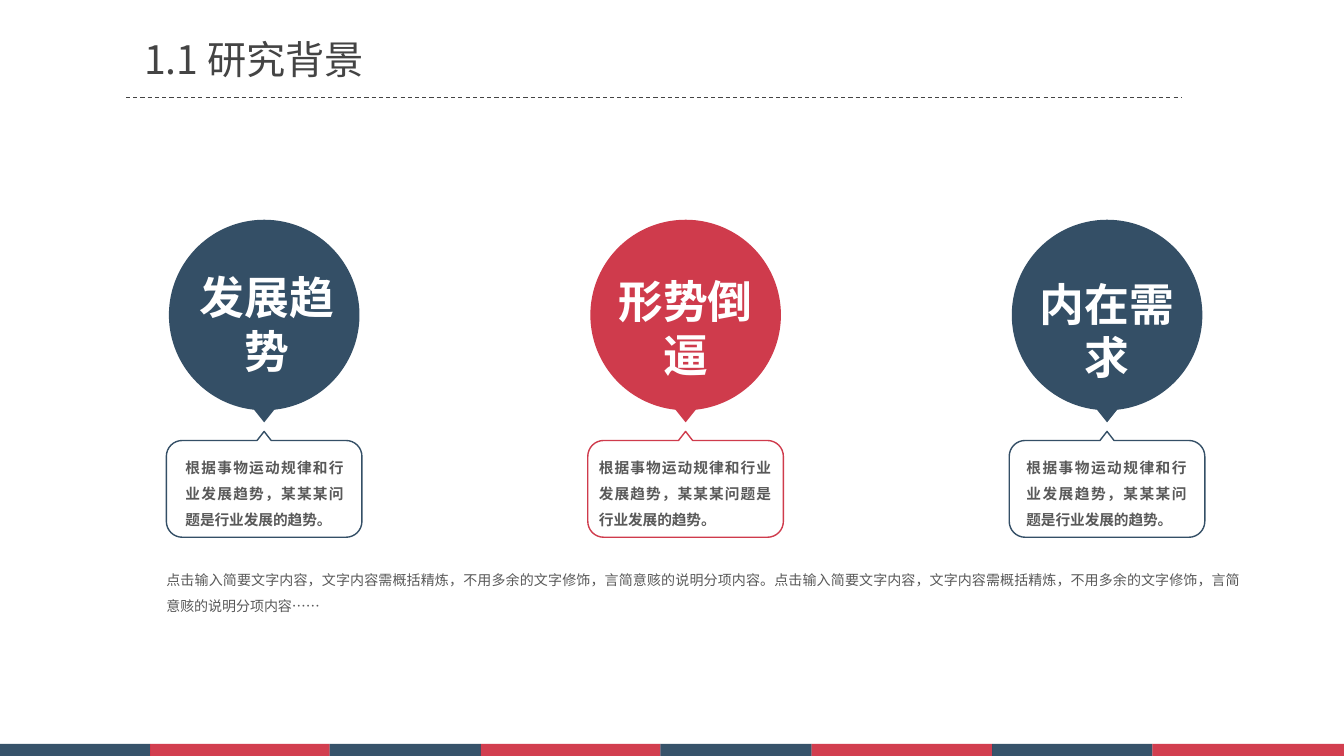
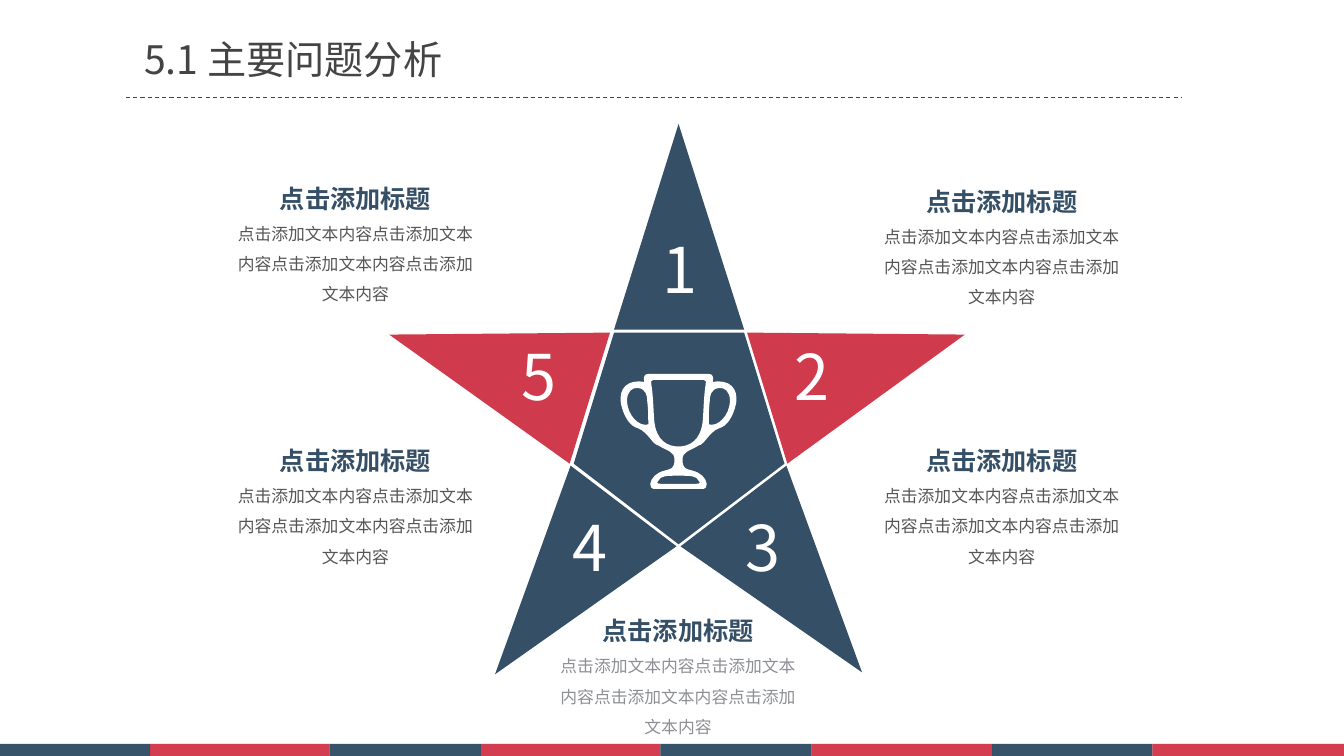
from lxml import etree
from pptx import Presentation
from pptx.dml.color import RGBColor
from pptx.enum.dml import MSO_LINE
from pptx.enum.shapes import MSO_CONNECTOR, MSO_SHAPE, PP_PLACEHOLDER
from pptx.enum.text import MSO_ANCHOR, MSO_AUTO_SIZE, PP_ALIGN
from pptx.oxml.ns import qn
from pptx.util import Inches, Pt

SLIDE_WIDTH, SLIDE_HEIGHT = 13.33, 7.5
FONT = "Noto Sans CJK SC"
NAVY = RGBColor(0x34, 0x4F, 0x66)
RED = RGBColor(0xCF, 0x3B, 0x4C)
BAND_NAVY = RGBColor(0x06, 0x28, 0x45)
BAND_RED = RGBColor(0xC7, 0x0E, 0x23)
WHITE = RGBColor(0xFF, 0xFF, 0xFF)
TITLE_GREY = RGBColor(0x44, 0x44, 0x44)
TEXT_GREY = RGBColor(0x59, 0x59, 0x59)
CAPTION_GREY = RGBColor(0x55, 0x55, 0x55)
PALE_GREY = RGBColor(0x8D, 0x8F, 0x94)

SINGLE, OPEN = 1.2, 1.8
BAND_EDGES = [0, 1.49, 3.27, 4.77, 6.55, 8.05, 9.84, 11.43, SLIDE_WIDTH]
BAND_HEIGHT = 0.12

PIN_LEFT, PIN_PITCH = 1.65, 4.18
PIN_TEXT = "根据事物运动规律和行业发展趋势，某某某问题是行业发展的趋势。"
PINS = [
    ("发展趋势", NAVY, 0.03, 2.68, 0.19, 1.57),
    ("形势倒逼", RED, 0, 2.72, 0.11, 1.71),
    ("内在需求", NAVY, 0, 2.74, 0.17, 1.59),
]
SUMMARY = (
    "点击输入简要文字内容，文字内容需概括精炼，不用多余的文字修饰，言简意赅的说明分项内容。"
    "点击输入简要文字内容，文字内容需概括精炼，不用多余的文字修饰，言简意赅的说明分项内容……"
)

STAR_CORE = [(7.38, 3.3), (6.09, 3.3), (5.69, 4.6), (6.73, 5.4), (7.78, 4.6)]
STAR_ARMS = [
    ("1", NAVY, [(6.09, 3.27), (6.73, 1.23), (7.38, 3.27)], (6.74, 2.68)),
    ("2", RED, [(7.41, 3.3), (9.57, 3.32), (7.81, 4.6)], (8.05, 3.74)),
    ("3", NAVY, [(7.8, 4.62), (8.55, 6.67), (6.75, 5.42)], (7.57, 5.43)),
    ("4", NAVY, [(6.71, 5.42), (4.91, 6.69), (5.66, 4.62)], (5.85, 5.44)),
    ("5", RED, [(5.65, 4.6), (3.86, 3.32), (6.05, 3.3)], (5.35, 3.74)),
]
CUP_HALF = [
    (0.3, 0), (0.34, 0), (0.35, 0.03), (0.34, 0.08),
    (0.5, 0.05), (0.6, 0.14), (0.57, 0.3), (0.54, 0.43), (0.48, 0.52), (0.4, 0.54),
    (0.3, 0.58), (0.26, 0.7), (0.2, 0.71), (0.1, 0.77), (0.04, 0.77), (0.04, 0.85),
    (0.04, 0.95), (0.08, 0.94), (0.14, 0.96), (0.22, 0.98), (0.27, 1.03), (0.28, 1.09),
    (0.28, 1.12), (0.27, 1.14), (0.25, 1.14),
]
BOWL_HALF = [
    (0.25, 0.06), (0.27, 0.06), (0.28, 0.08), (0.27, 0.1),
    (0.25, 0.22), (0.25, 0.35), (0.24, 0.47), (0.22, 0.66), (0.11, 0.72), (0, 0.72),
]
BASE_HALF = [
    (0, 1.01), (0.12, 1.01), (0.18, 1.01), (0.2, 1.06),
    (0.22, 1.08), (0.21, 1.09), (0.18, 1.09),
]
HANDLE = [
    (0.51, 0.26), (0.51, 0.18), (0.46, 0.13), (0.4, 0.14),
    (0.32, 0.15), (0.31, 0.22), (0.31, 0.27), (0.3, 0.35), (0.3, 0.44), (0.3, 0.5),
    (0.38, 0.53), (0.51, 0.42), (0.51, 0.26),
]
CAPTION_TITLE = "点击添加标题"
CAPTION_TEXT = "点击添加文本内容" * 4
CAPTIONS = [
    (2.23, 1.62, CAPTION_GREY),
    (2.23, 4.22, CAPTION_GREY),
    (8.64, 1.65, CAPTION_GREY),
    (8.64, 4.22, CAPTION_GREY),
    (5.43, 5.91, PALE_GREY),
]


def write(paragraph, text, size, color, bold=False, align=PP_ALIGN.LEFT, spacing=SINGLE):
    paragraph.alignment = align
    paragraph.line_spacing = Pt(round(size * spacing, 1))
    paragraph.space_before = paragraph.space_after = Pt(0)
    run = paragraph.add_run()
    run.text = text
    font = run.font
    font.name, font.size, font.bold = FONT, Pt(size), bold
    font.color.rgb = color
    properties = run._r.get_or_add_rPr()
    etree.SubElement(properties, qn("a:ea")).set("typeface", FONT)


def set_margins(frame, left=0, top=0, right=0, bottom=0):
    frame.margin_left, frame.margin_top = Inches(left), Inches(top)
    frame.margin_right, frame.margin_bottom = Inches(right), Inches(bottom)


def add_text_box(slide, left, top, width, height, margin=0):
    box = slide.shapes.add_textbox(Inches(left), Inches(top), Inches(width), Inches(height))
    frame = box.text_frame
    frame.word_wrap = True
    set_margins(frame, margin * 2, margin, margin * 2, margin)
    return frame


def paint(shape, fill=None, line=None):
    shape.shadow.inherit = False
    if fill is None:
        shape.fill.background()
    else:
        shape.fill.solid()
        shape.fill.fore_color.rgb = fill
    if line is None:
        shape.line.fill.background()
    else:
        shape.line.color.rgb = line
        shape.line.width = Pt(1)
    return shape


def add_preset(slide, preset, left, top, width, height, fill):
    shape = slide.shapes.add_shape(
        preset, Inches(left), Inches(top), Inches(width), Inches(height))
    return paint(shape, fill)


def is_curve(step):
    return len(step) == 3


def add_outline(slide, contours, **style):
    builder = None
    for start, *steps in contours:
        start = [Inches(value) for value in start]
        if builder is None:
            builder = slide.shapes.build_freeform(*start)
        else:
            builder.move_to(*start)
        points = [point for step in steps for point in (step if is_curve(step) else [step])]
        builder.add_line_segments([(Inches(x), Inches(y)) for x, y in points], close=True)
    shape = builder.convert_to_shape()
    nodes = iter(list(shape.element.iter(qn("a:lnTo"))))
    for step in (step for contour in contours for step in contour[1:]):
        node = next(nodes)
        if is_curve(step):
            node.tag = qn("a:cubicBezTo")
            for extra in (next(nodes), next(nodes)):
                node.append(extra[0])
                extra.getparent().remove(extra)
    return paint(shape, **style)


def curves(chain):
    return [tuple(chain[index:index + 3]) for index in range(1, len(chain), 3)]


def mirror(chain):
    return [(-x, y) for x, y in reversed(chain)]


def add_frame(slide):
    shapes = []
    for index, (left, right) in enumerate(zip(BAND_EDGES, BAND_EDGES[1:])):
        band = add_preset(slide, MSO_SHAPE.RECTANGLE, left, SLIDE_HEIGHT - BAND_HEIGHT,
                          right - left, BAND_HEIGHT, (BAND_NAVY, BAND_RED)[index % 2])
        color = band.element.spPr.find(qn("a:solidFill")).find(qn("a:srgbClr"))
        etree.SubElement(color, qn("a:alpha")).set("val", "80000")
        shapes.append(band)
    rule = slide.shapes.add_connector(
        MSO_CONNECTOR.STRAIGHT, Inches(1.25), Inches(0.97), Inches(11.72), Inches(0.97))
    rule.line.color.rgb = TITLE_GREY
    rule.line.width = Pt(0.75)
    rule.line.dash_style = MSO_LINE.DASH
    etree.SubElement(rule.element.spPr, qn("a:effectLst"))
    return shapes + [rule]


def prepare_layout(presentation):
    layout = presentation.slide_layouts[5]
    for placeholder in list(layout.placeholders):
        if placeholder.placeholder_format.type != PP_PLACEHOLDER.TITLE:
            placeholder.element.getparent().remove(placeholder.element)
    return layout


def add_titled_slide(presentation, layout, text):
    slide = presentation.slides.add_slide(layout)
    title = slide.shapes.title
    title.left, title.top = Inches(1.43), Inches(0.35)
    title.width, title.height = Inches(3.99), Inches(0.47)
    frame = title.text_frame
    frame.auto_size = MSO_AUTO_SIZE.NONE
    frame.vertical_anchor = MSO_ANCHOR.TOP
    set_margins(frame)
    write(frame.paragraphs[0], text, 28, TITLE_GREY)
    return slide


def add_callout(slide, left, top, width, height, color):
    notch_height, notch_half, radius, pull = 0.09, 0.07, 0.16, 0.07
    right, bottom, middle = left + width, top + height, left + width / 2
    edge = top + notch_height
    contour = [(middle, top), (middle + notch_half, edge)]
    corners = [(right, edge, -1, 0, 0, 1), (right, bottom, 0, -1, -1, 0),
               (left, bottom, 1, 0, 0, -1), (left, edge, 0, 1, 1, 0)]
    for x, y, in_x, in_y, out_x, out_y in corners:
        contour.append((x + in_x * radius, y + in_y * radius))
        contour.append(((x + in_x * pull, y + in_y * pull),
                        (x + out_x * pull, y + out_y * pull),
                        (x + out_x * radius, y + out_y * radius)))
    contour.append((middle - notch_half, edge))
    add_outline(slide, [contour], line=color)


def add_pin(slide, left, label, color, label_shift, label_top, text_inset, text_width):
    width, diameter, label_width, tip_width = 1.94, 1.89, 1.5, 0.24
    middle = left + width / 2
    add_preset(slide, MSO_SHAPE.OVAL, middle - diameter / 2, 2.18, diameter, diameter, color)
    tip = add_preset(slide, MSO_SHAPE.ISOSCELES_TRIANGLE,
                     middle - tip_width / 2, 4.04, tip_width, 0.15, color)
    tip.rotation = 180
    frame = add_text_box(slide, middle - label_width / 2 + label_shift, label_top,
                         label_width, 1.08)
    write(frame.paragraphs[0], label, 32, WHITE, True, PP_ALIGN.CENTER)
    add_callout(slide, left, 4.28, width, 1.05, color)
    frame = add_text_box(slide, left + text_inset, 4.46, text_width, 0.76)
    write(frame.paragraphs[0], PIN_TEXT, 10.5, TEXT_GREY, True, PP_ALIGN.JUSTIFY, OPEN)


def add_background_content(slide):
    for column, pin in enumerate(PINS):
        add_pin(slide, PIN_LEFT + column * PIN_PITCH, *pin)
    frame = add_text_box(slide, PIN_LEFT, 5.59, 10.65, 0.48)
    write(frame.paragraphs[0], SUMMARY, 10, TEXT_GREY,
          align=PP_ALIGN.JUSTIFY, spacing=OPEN)


def add_star_arm(slide, number, color, points, center):
    arm = add_outline(slide, [points], fill=color)
    columns, rows = zip(*points)
    center_x, center_y = center
    frame = arm.text_frame
    frame.word_wrap = True
    frame.vertical_anchor = MSO_ANCHOR.TOP
    set_margins(frame, center_x - 0.3 - min(columns), center_y - 0.39 - min(rows),
                max(columns) - center_x - 0.3)
    write(frame.paragraphs[0], number, 45, WHITE, align=PP_ALIGN.CENTER)


def add_trophy(slide, middle, top):
    def place(chain):
        return [(middle + x, top + y) for x, y in chain]

    contours = []
    for half in (CUP_HALF, BOWL_HALF, BASE_HALF):
        right, left = place(half), place(mirror(half))
        contours.append([right[0], *curves(right), left[0], *curves(left)])
    for handle in (place(HANDLE), place(mirror(HANDLE))):
        contours.append([handle[0], *curves(handle)])
    add_outline(slide, contours, fill=WHITE)


def add_caption(slide, left, top, color):
    frame = add_text_box(slide, left, top, 2.59, 1.46, 0.05)
    write(frame.paragraphs[0], CAPTION_TITLE, 18, NAVY, True, PP_ALIGN.CENTER, OPEN)
    write(frame.add_paragraph(), CAPTION_TEXT, 12, color, False, PP_ALIGN.CENTER, OPEN)


def add_problem_content(slide):
    add_outline(slide, [STAR_CORE], fill=NAVY)
    for arm in STAR_ARMS:
        add_star_arm(slide, *arm)
    add_trophy(slide, 6.73, 3.71)
    for caption in CAPTIONS:
        add_caption(slide, *caption)


def main():
    presentation = Presentation()
    presentation.slide_width = Inches(SLIDE_WIDTH)
    presentation.slide_height = Inches(SLIDE_HEIGHT)
    layout = prepare_layout(presentation)
    background = add_titled_slide(presentation, layout, "1.1 研究背景")
    for shape in add_frame(background):
        layout.shapes.element.append(shape.element)
    add_background_content(background)
    problems = add_titled_slide(presentation, layout, "5.1 主要问题分析")
    add_problem_content(problems)
    presentation.save("out.pptx")


if __name__ == "__main__":
    main()
